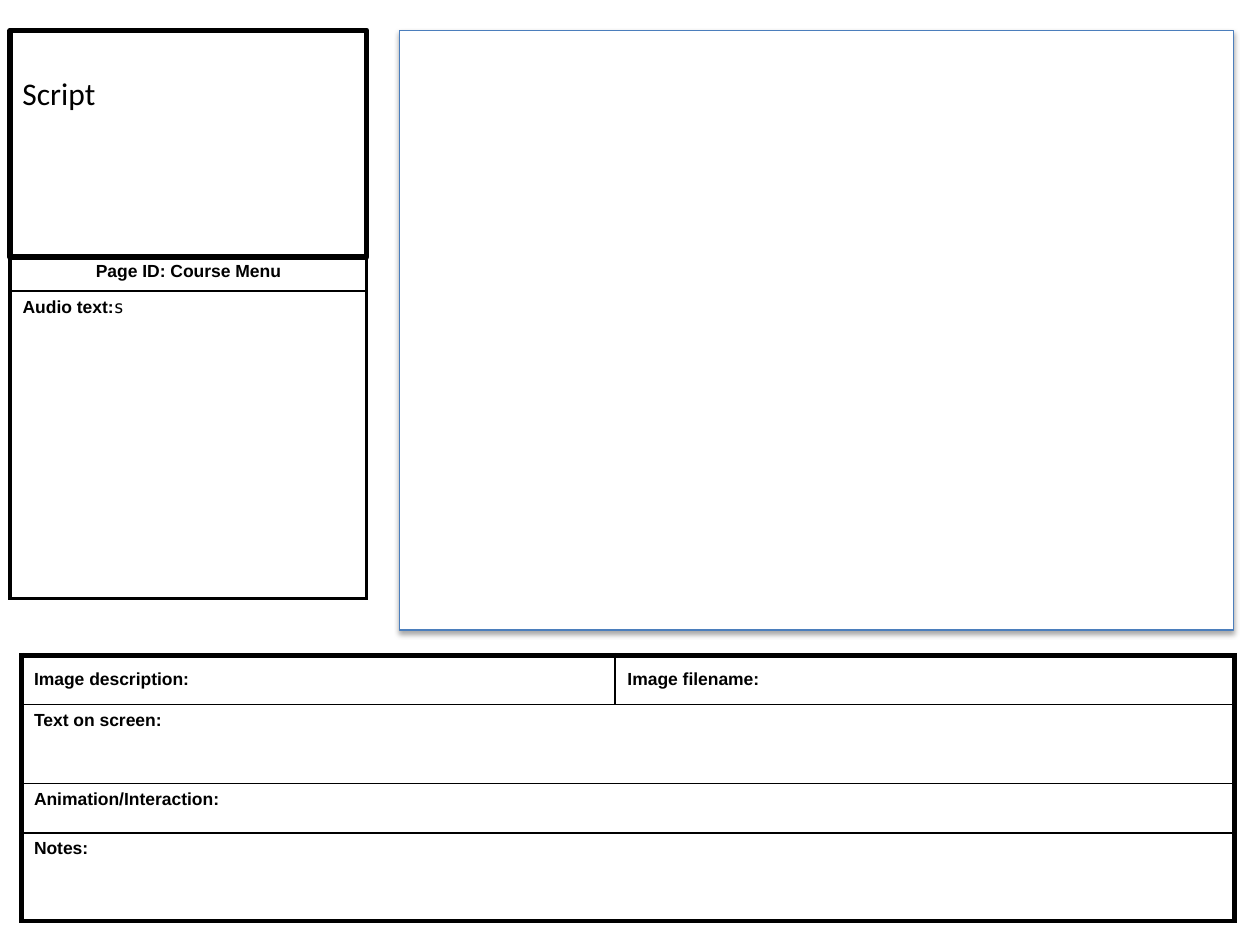
from dataclasses import dataclass

from lxml.etree import SubElement
from pptx import Presentation
from pptx.dml.color import RGBColor as Color
from pptx.enum.shapes import MSO_SHAPE as Preset
from pptx.enum.text import MSO_ANCHOR as Anchor, PP_ALIGN as Align
from pptx.oxml.ns import qn
from pptx.util import Inches, Pt


@dataclass(frozen=True)
class Theme:
    ink: str = "000000"
    paper: str = "FFFFFF"
    accent: str = "4B7EBC"
    label_font: str = "Arial"
    script_font: str = "Calibri"
    audio_font: str = "DejaVu Sans Mono"
    label_size: float = 10
    script_size: float = 18
    thin: float = 1
    medium: float = 2.25
    thick: float = 3


THEME = Theme()
WIDTH, HEIGHT = Inches(10), Inches(7.5)
COLUMNS, ROWS = 100, 75

LABEL = {"name": THEME.label_font, "size": Pt(THEME.label_size), "bold": True}
AUDIO = {**LABEL, "name": THEME.audio_font, "bold": False}
SCRIPT = {"name": THEME.script_font, "size": Pt(THEME.script_size)}


def across(columns):
    return round(WIDTH * columns / COLUMNS)


def down(rows):
    return round(HEIGHT * rows / ROWS)


def place(left, top, width, height):
    return across(left), down(top), across(width), down(height)


def add_span(para, text, style):
    span = para.add_run()
    span.text = text
    for name, value in style.items():
        setattr(span.font, name, value)
    span.font.color.rgb = Color.from_string(THEME.ink)


def add_box(page, area, line_color, line_width):
    box = page.shapes.add_shape(Preset.RECTANGLE, *place(*area))
    box.shadow.inherit = False
    box.fill.solid()
    box.fill.fore_color.rgb = Color.from_string(THEME.paper)
    box.line.color.rgb = Color.from_string(line_color)
    box.line.width = Pt(line_width)
    return box


def add_shadow(box, blur, distance, angle, opacity):
    effects = box._element.spPr.find(qn("a:effectLst"))
    values = {"blurRad": Pt(blur), "dist": Pt(distance), "dir": angle * 60000}
    shadow = SubElement(effects, qn("a:outerShdw"), rotWithShape="0",
                        **{key: str(int(value)) for key, value in values.items()})
    color = SubElement(shadow, qn("a:srgbClr"), val=THEME.ink)
    SubElement(color, qn("a:alpha"), val=str(opacity * 1000))


def set_borders(cell, widths):
    """Set left, right, top and bottom borders, in that order."""
    properties = cell._tc.get_or_add_tcPr()
    for index, (side, width) in enumerate(zip("LRTB", widths)):
        line = SubElement(properties, qn(f"a:ln{side}"), w=str(Pt(width)))
        fill = SubElement(line, qn("a:solidFill"))
        SubElement(fill, qn("a:srgbClr"), val=THEME.ink)
        properties.insert(index, line)


def add_form(page, left, top, columns, rows, outer):
    """Add an open table with a heavy frame and thin inner rules."""
    area = place(left, top, sum(columns), sum(rows))
    table = page.shapes.add_table(len(rows), len(columns), *area).table
    table.first_row = table.horz_banding = False
    for column, width in zip(table.columns, columns):
        column.width = across(width)
    for row, height in zip(table.rows, rows):
        row.height = down(height)
    return table


def frame_cells(table, outer):
    last_row, last_column = len(table.rows) - 1, len(table.columns) - 1
    for r in range(last_row + 1):
        for c in range(last_column + 1):
            cell = table.cell(r, c)
            right = c + cell.span_width - 1 if cell.is_merge_origin else c
            edges = (c == 0, right == last_column, r == 0, r == last_row)
            cell.fill.background()
            set_borders(cell, [outer if edge else THEME.thin for edge in edges])


def write_cell(cell, text, align=Align.LEFT, anchor=Anchor.TOP):
    cell.vertical_anchor = anchor
    para = cell.text_frame.paragraphs[0]
    para.alignment = align
    add_span(para, text, LABEL)
    return para


def add_audio_form(page):
    table = add_form(page, 0.8, 20.3, [28.3], [2.8, 24.4], THEME.medium)
    write_cell(table.cell(0, 0), "Page ID: Course Menu", Align.CENTER)
    para = write_cell(table.cell(1, 0), "Audio text:")
    add_span(para, "s", AUDIO)
    frame_cells(table, THEME.medium)


def add_script_box(page):
    box = add_box(page, (0.8, 2.4, 28.3, 18), THEME.ink, THEME.thick)
    frame = box.text_frame
    frame.word_wrap = True
    frame.vertical_anchor = Anchor.TOP
    frame.margin_top = down(3.5)
    para = frame.paragraphs[0]
    para.alignment = Align.LEFT
    add_span(para, "Script", SCRIPT)


def add_details_form(page):
    table = add_form(page, 1.7, 52, [47.1, 49.2], [3.9, 6.3, 3.9, 7], THEME.thick)
    for column, text in enumerate(["Image description:", "Image filename:"]):
        write_cell(table.cell(0, column), text, anchor=Anchor.MIDDLE)
    wide_rows = ["Text on screen:", "Animation/Interaction:", "Notes:"]
    for row, text in enumerate(wide_rows, start=1):
        table.cell(row, 0).merge(table.cell(row, 1))
        write_cell(table.cell(row, 0), text)
    frame_cells(table, THEME.thick)


def main():
    deck = Presentation()
    deck.slide_width, deck.slide_height = WIDTH, HEIGHT
    page = deck.slides.add_slide(deck.slide_layouts[6])

    # Left column: script above page ID and audio text
    add_audio_form(page)
    add_script_box(page)

    # Bottom: image, text, animation and notes
    add_details_form(page)

    # Right: empty screen area
    screen = add_box(page, (31.7, 2.4, 66.2, 47.6), THEME.accent, 0.75)
    add_shadow(screen, blur=3.1, distance=1.8, angle=90, opacity=35)

    deck.save("out.pptx")


if __name__ == "__main__":
    main()
